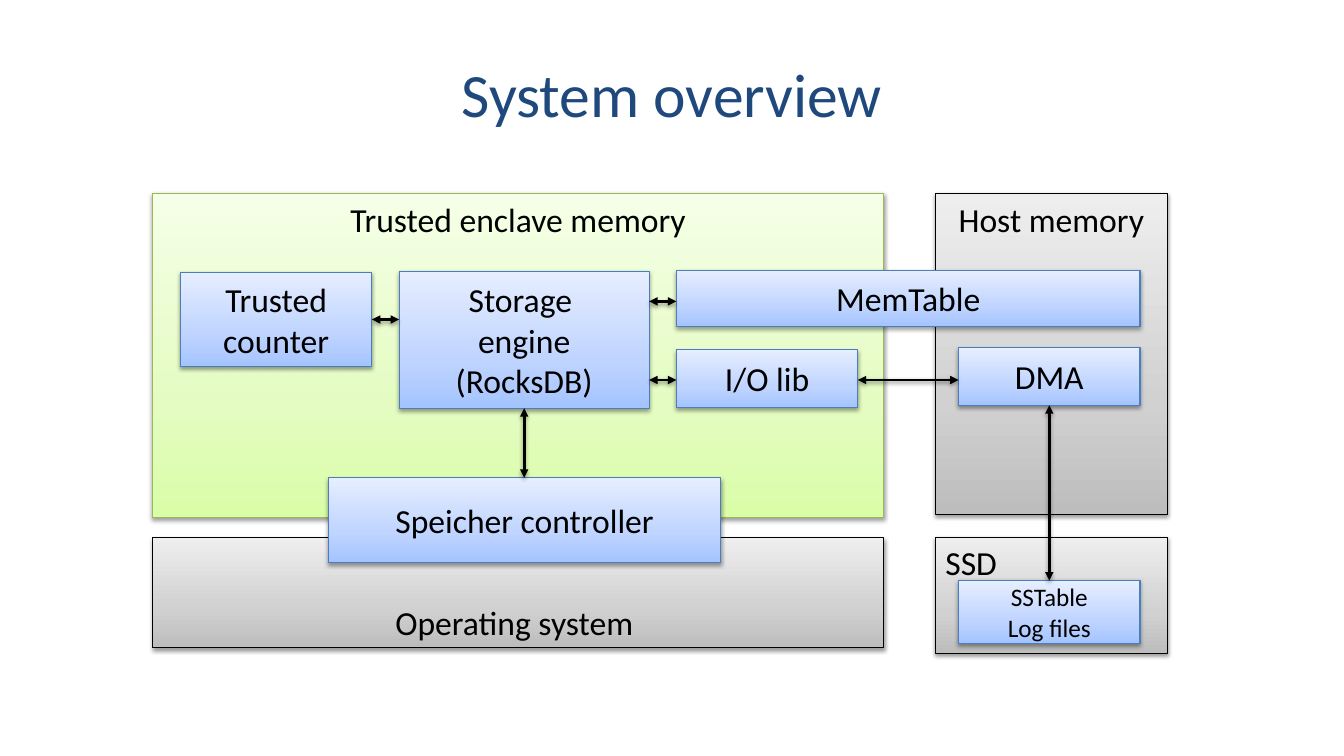
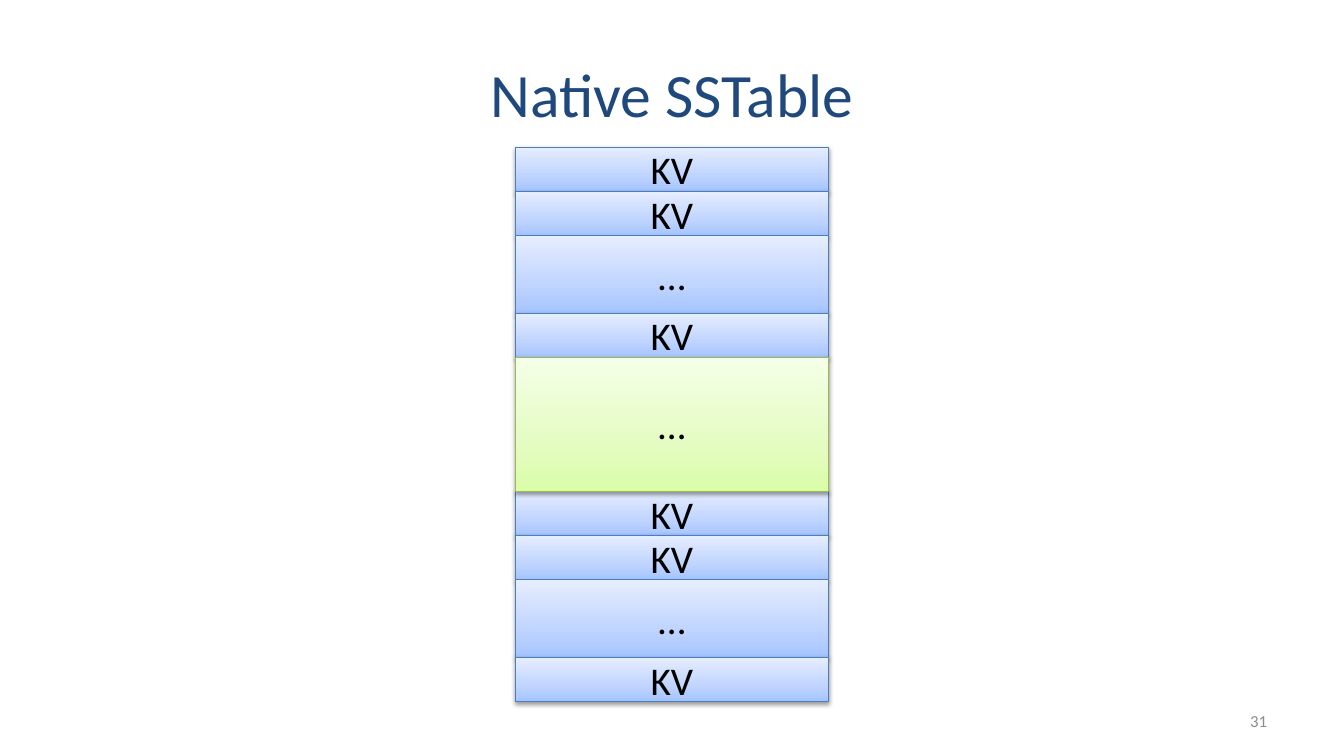
from copy import deepcopy
from dataclasses import dataclass
from itertools import accumulate

from pptx import Presentation
from pptx.dml.color import RGBColor
from pptx.enum.shapes import MSO_CONNECTOR as Connector, MSO_SHAPE as Preset
from pptx.enum.text import MSO_ANCHOR as Anchor, PP_ALIGN as Align
from pptx.oxml.ns import qn
from pptx.oxml.xmlchemy import OxmlElement
from pptx.util import Inches, Pt

WIDTH, HEIGHT = Inches(13.33), Inches(7.5)
COLUMNS, ROWS = 40, 30
FONT = "Calibri"
BLACK, TITLE_BLUE, NUMBER_GRAY = "000000", "1F497D", "8C8C8C"


@dataclass(frozen=True)
class Theme:
    stops: tuple
    outline: str


GRAY = Theme(((0, "BDBDBD"), (0.35, "D1D1D1"), (1, "EEEEEE")), BLACK)
BLUE = Theme(((0, "A4C4FF"), (0.35, "BFD4FF"), (1, "E6EEFF")), "4B7EBC")
GREEN = Theme(((0, "DAFDA7"), (0.35, "E4FCC2"), (1, "F5FFE7")), "98B955")


@dataclass(frozen=True)
class Box:
    left: float
    top: float
    width: float
    height: float

    @property
    def right(self):
        return self.left + self.width

    @property
    def bottom(self):
        return self.top + self.height

    @property
    def center(self):
        return self.left + self.width / 2

    def inside(self, left, top, width, height):
        return Box(self.left + left, self.top + top, width, height)

    def place(self):
        return (*point(self.left, self.top), *point(self.width, self.height))


TITLE = Box(2, 1.2, 36, 5)
PAGE_NUMBER = Box(28.68, 27.8, 9.33, 1.6)
DIAGRAM = Box(4.53, 7.68, 30.21, 18.24)
STACK = Box(15.33, 5.84, 9.33, 22)


def point(column, row):
    return int(WIDTH * column / COLUMNS), int(HEIGHT * row / ROWS)


def rgb(value):
    return RGBColor.from_string(value)


def write(frame, text, size=24, color=BLACK, align=Align.CENTER, anchor=Anchor.MIDDLE):
    frame.word_wrap = True
    frame.vertical_anchor = anchor
    for index, line in enumerate(text.split("\n")):
        paragraph = frame.add_paragraph() if index else frame.paragraphs[0]
        paragraph.alignment = align
        run = paragraph.add_run()
        run.text = line
        run.font.name = FONT
        run.font.size = Pt(size)
        run.font.color.rgb = rgb(color)


def add_element(parent, tag, **attributes):
    child = OxmlElement(tag)
    for key, value in attributes.items():
        child.set(key, str(value))
    parent.append(child)
    return child


def cast_shadow(part):
    effects = add_element(part._element.spPr, "a:effectLst")
    shadow = add_element(effects, "a:outerShdw", blurRad=Pt(3.1), dist=Pt(1.6),
                         dir=5400000, rotWithShape=0)
    add_element(add_element(shadow, "a:srgbClr", val=BLACK), "a:alpha", val=38000)


def shade(fill, properties, stops):
    fill.gradient()
    fill.gradient_angle = 90
    stop_list = properties.find(qn("a:gradFill")).find(qn("a:gsLst"))
    stop_list.insert(1, deepcopy(stop_list[0]))
    for stop, (position, color) in zip(fill.gradient_stops, stops):
        stop.position = position
        stop.color.rgb = rgb(color)


def add_block(slide, box, text, theme=BLUE, **style):
    block = slide.shapes.add_shape(Preset.RECTANGLE, *box.place())
    shade(block.fill, block._element.spPr, theme.stops)
    block.line.color.rgb = rgb(theme.outline)
    block.line.width = Pt(0.75)
    cast_shadow(block)
    write(block.text_frame, text, **style)


def add_label(slide, box, text, **style):
    write(slide.shapes.add_textbox(*box.place()).text_frame, text, **style)


def add_arrow(slide, start, end):
    arrow = slide.shapes.add_connector(Connector.STRAIGHT, *point(*start), *point(*end))
    arrow.line.color.rgb = rgb(BLACK)
    arrow.line.width = Pt(2)
    for tip in ("a:headEnd", "a:tailEnd"):
        add_element(arrow.line._get_or_add_ln(), tip, type="triangle")
    cast_shadow(arrow)


def link_across(slide, source, target, row):
    add_arrow(slide, (source.right, row), (target.left, row))


def link_down(slide, source, target):
    add_arrow(slide, (source.center, source.bottom), (source.center, target.top))


def draw_overview(slide, area):
    top, bottom = {"anchor": Anchor.TOP}, {"anchor": Anchor.BOTTOM}
    host_left, lower_top = 23.31, 13.64
    panels = (
        ("Operating system ", (0, lower_top, 21.78, 4.36), GRAY, bottom),
        ("Host memory", (host_left, 0, 6.9, 12.72), GRAY, top),
        ("Trusted enclave memory", (0, 0, 21.78, 12.84), GREEN, top),
        ("SSD", (host_left, lower_top, 6.9, 4.6), GRAY, {**top, "align": Align.LEFT}),
    )
    for text, cells, theme, style in panels:
        add_block(slide, area.inside(*cells), text, theme, **style)

    engine = area.inside(7.35, 3.08, 7.44, 5.44)
    memtable = area.inside(15.6, 3.04, 13.8, 2.24)
    io_lib = area.inside(15.6, 6.2, 5.4, 2.28)
    dma = area.inside(24, 6.12, 5.4, 2.28)
    controller = area.inside(5.25, 11.28, 11.67, 3.36)
    files = area.inside(24, 15.36, 5.4, 2.48)
    counter = area.inside(0.84, 3.12, 5.7, 3.76)
    blocks = (
        (engine, "Storage \nengine (RocksDB)"),
        (memtable, "MemTable"),
        (io_lib, "I/O lib"),
        (dma, "DMA"),
        (controller, "Speicher controller"),
        (counter, "Trusted counter"),
    )
    for box, text in blocks:
        add_block(slide, box, text)
    add_block(slide, files, "SSTable\nLog files", size=18)

    for source, target, row in ((counter, engine, 5), (engine, memtable, 4.28),
                                (engine, io_lib, 7.4), (io_lib, dma, 7.4)):
        link_across(slide, source, target, area.top + row)
    link_down(slide, engine, controller)
    link_down(slide, dma, files)


def draw_stack(slide, area):
    entry, gap, middle = ("KV", 0.44, BLUE), ("…", 0.77, BLUE), ("…", 1.33, GREEN)
    run = [entry, entry, gap, entry]
    entries = run + [middle] + run
    shares = [share for _, share, _ in entries]
    unit = area.height / sum(shares)
    tops = accumulate(shares, initial=0)
    for top, (text, share, theme) in sorted(zip(tops, entries),
                                            key=lambda item: item[1] == middle):
        box = area.inside(0, top * unit, area.width, share * unit)
        add_block(slide, box, text, theme, size=28)


def add_slide(deck, title):
    slide = deck.slides.add_slide(deck.slide_layouts[6])
    add_label(slide, TITLE, title, size=44, color=TITLE_BLUE)
    return slide


def main():
    deck = Presentation()
    deck.slide_width, deck.slide_height = WIDTH, HEIGHT
    draw_overview(add_slide(deck, "System overview"), DIAGRAM)
    sstable = add_slide(deck, "Native SSTable")
    add_label(sstable, PAGE_NUMBER, "31", size=12, color=NUMBER_GRAY, align=Align.RIGHT)
    draw_stack(sstable, STACK)
    deck.save("out.pptx")


if __name__ == "__main__":
    main()
